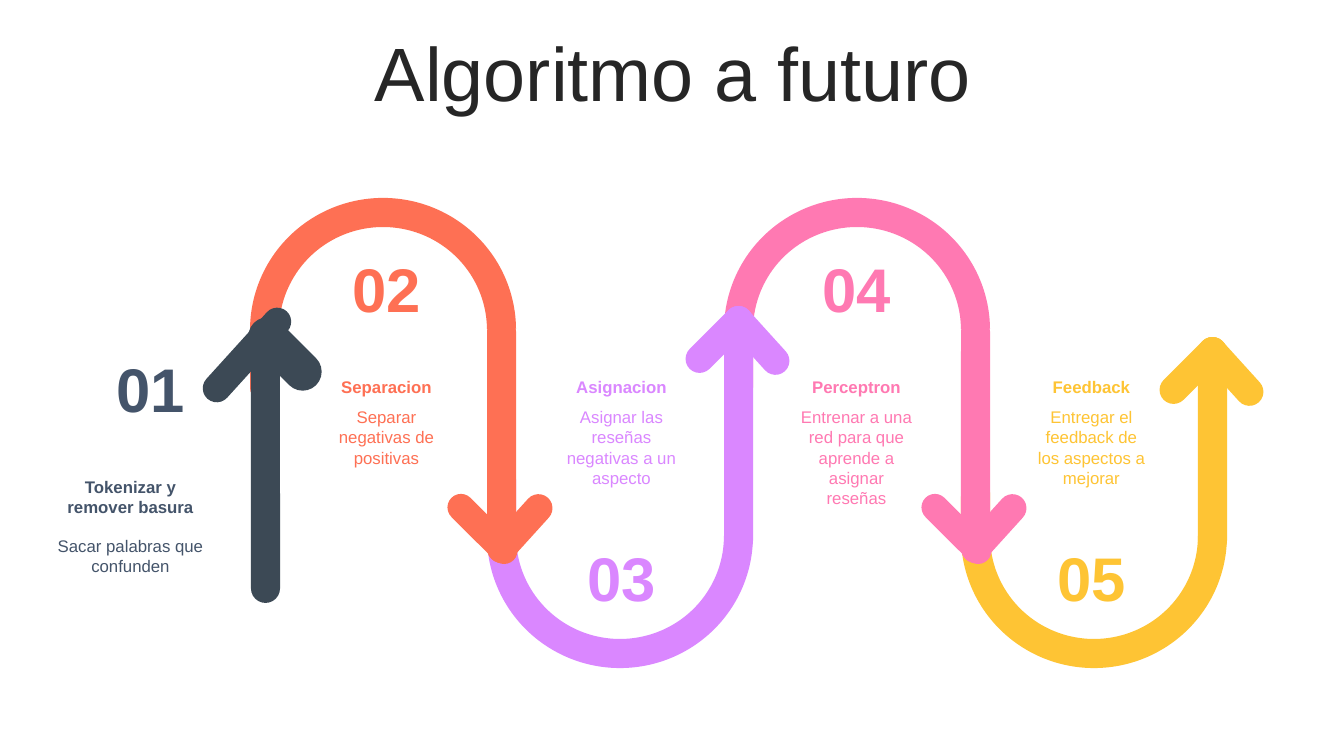
from dataclasses import dataclass

from pptx import Presentation
from pptx.dml.color import RGBColor
from pptx.enum.shapes import MSO_SHAPE
from pptx.enum.text import MSO_ANCHOR, MSO_AUTO_SIZE, PP_ALIGN
from pptx.util import Pt

BAR, ARC = MSO_SHAPE.ROUNDED_RECTANGLE, MSO_SHAPE.BLOCK_ARC
CENTER = PP_ALIGN.CENTER
TOP, MIDDLE = MSO_ANCHOR.TOP, MSO_ANCHOR.MIDDLE
NO_FIT, GROW = MSO_AUTO_SIZE.NONE, MSO_AUTO_SIZE.SHAPE_TO_FIT_TEXT
TITLE_ONLY = 5
EMU_PER_PX = 914400 / 100.8


@dataclass(frozen=True)
class Theme:
    font: str = "Arial"
    title_color: str = "262626"
    slate: str = "44546A"
    charcoal: str = "3C4955"
    orange: str = "FE7054"
    purple: str = "DA87FF"
    pink: str = "FF79B2"
    yellow: str = "FEC434"
    title_size: int = 54
    number_size: int = 44
    text_size: int = 12


def px(length):
    return round(length * EMU_PER_PX)


def assign(target, values):
    for name, value in values.items():
        setattr(target, name, value)


class RoadmapSlide:
    STROKE = 29
    ARC_WIDTH, ARC_HEIGHT = 266, 264
    ARC_ADJUSTMENTS = (107.94, 215.66, 0.11)
    SHAFT_OFFSET = 237

    def __init__(self, deck, theme):
        self.theme = theme
        self.slide = deck.slides.add_slide(deck.slide_layouts[TITLE_ONLY])

    def fill_text(self, frame, text, size, color, bold=False, anchor=TOP, fit=GROW):
        frame.text = text
        assign(frame, {"word_wrap": True, "vertical_anchor": anchor, "auto_size": fit})
        paragraph = frame.paragraphs[0]
        paragraph.alignment = CENTER
        assign(paragraph.font, {"name": self.theme.font, "size": Pt(size), "bold": bold})
        paragraph.font.color.rgb = RGBColor.from_string(color)
        return paragraph

    def title(self, text, left, top, width, height):
        heading = self.slide.shapes.title
        assign(heading, {"left": px(left), "top": px(top),
                         "width": px(width), "height": px(height)})
        paragraph = self.fill_text(heading.text_frame, text, self.theme.title_size,
                                   self.theme.title_color, anchor=MIDDLE, fit=NO_FIT)
        paragraph.line_spacing = 0.9

    def label(self, text, box, size, color, bold=False):
        text_box = self.slide.shapes.add_textbox(*map(px, box))
        self.fill_text(text_box.text_frame, text, size, color, bold)

    def group(self):
        return self.slide.shapes.add_group_shape().shapes

    def solid(self, group, kind, box, color, adjustments, rotation=0):
        piece = group.add_shape(kind, *map(px, box))
        piece.shadow.inherit = False
        piece.fill.solid()
        piece.fill.fore_color.rgb = RGBColor.from_string(color)
        piece.line.fill.background()
        piece.rotation = rotation
        for index, value in enumerate(adjustments):
            piece.adjustments[index] = value

    def bar(self, group, box, color, rotation=0):
        """Draw a bar with fully rounded ends."""
        self.solid(group, BAR, box, color, (0.5,), rotation)

    def arc(self, group, left, top, color, rotation=0):
        box = (left, top, self.ARC_WIDTH, self.ARC_HEIGHT)
        self.solid(group, ARC, box, color, self.ARC_ADJUSTMENTS, rotation)

    def down_ribbon(self, left, color):
        """Arch over the top and end in an arrow pointing down."""
        ribbon = self.group()
        self.bar(ribbon, (left, 317, self.STROKE, 85), color)
        self.bar(ribbon, (left + 256, 487, 28, 83), color, 222.2)
        self.bar(ribbon, (left + 219, 485, 27, 88), color, 135)
        self.bar(ribbon, (left + self.SHAFT_OFFSET, 317, self.STROKE, 246), color)
        self.arc(ribbon, left, 198, color)

    def up_ribbon(self, left, color, tip, stub_top):
        """Swing under the bottom and end in an arrow pointing up at tip."""
        ribbon = self.group()
        self.bar(ribbon, (left, stub_top, self.STROKE, 550 - stub_top), color)
        self.bar(ribbon, (left + 256, tip - 7, 28, 83), color, 317.8)
        self.bar(ribbon, (left + 218, tip - 8, 28, 83), color, 45)
        self.bar(ribbon, (left + self.SHAFT_OFFSET, tip, self.STROKE, 555 - tip), color)
        self.arc(ribbon, left, 404, color, 180)

    def start_arrow(self, color):
        arrow = self.group()
        self.bar(arrow, (233, 296, 28, 118), color, 42.2)
        self.bar(arrow, (266, 310, 38, 88), color, 315)
        self.bar(arrow, (251, 324, self.STROKE, 279), color)

    def step(self, number, heading, detail, color, number_at, heading_box, detail_box):
        theme = self.theme
        self.label(number, (*number_at, 112, 85), theme.number_size, color, True)
        self.label(detail, detail_box, theme.text_size, color)
        self.label(heading, heading_box, theme.text_size, color, True)


def main():
    theme = Theme()
    deck = Presentation()
    assign(deck, {"slide_width": px(1344), "slide_height": px(756)})
    roadmap = RoadmapSlide(deck, theme)
    roadmap.title("Algoritmo a futuro", 35, 37, 1276, 80)

    roadmap.step("01", "Tokenizar y remover basura", "Sacar palabras que confunden",
                 theme.slate, (95, 346), (44, 472, 173, 50), (44, 531, 173, 50))
    upper, lower = 246, 535
    later_steps = [
        ("02", "Separacion", "Separar negativas de positivas", theme.orange, upper, 72),
        ("03", "Asignacion", "Asignar las reseñas negativas a un aspecto",
         theme.purple, lower, 92),
        ("04", "Perceptron", "Entrenar a una red para que aprende a asignar reseñas",
         theme.pink, upper, 112),
        ("05", "Feedback", "Entregar el feedback de los aspectos a mejorar",
         theme.yellow, lower, 92),
    ]
    for index, (number, heading, detail, color, number_top, height) in enumerate(later_steps):
        left = 320 + 235 * index
        roadmap.step(number, heading, detail, color, (left + 11, number_top),
                     (left, 372, 133, 30), (left, 402, 133, height))

    orange_x, purple_x, pink_x, yellow_x = (
        250 + RoadmapSlide.SHAFT_OFFSET * index for index in range(4))
    roadmap.up_ribbon(yellow_x, theme.yellow, tip=337, stub_top=478)
    roadmap.down_ribbon(pink_x, theme.pink)
    roadmap.up_ribbon(purple_x, theme.purple, tip=306, stub_top=465)
    roadmap.down_ribbon(orange_x, theme.orange)
    roadmap.start_arrow(theme.charcoal)

    deck.save("out.pptx")


if __name__ == "__main__":
    main()
